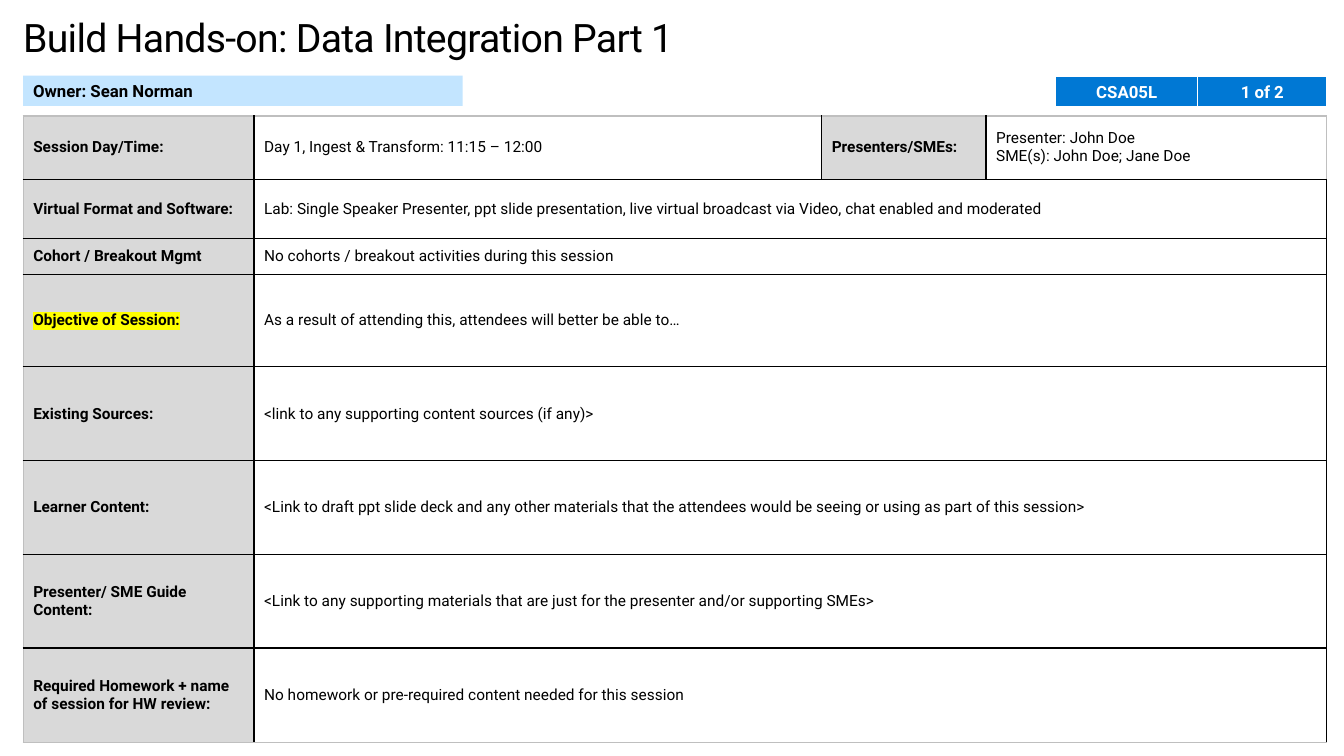
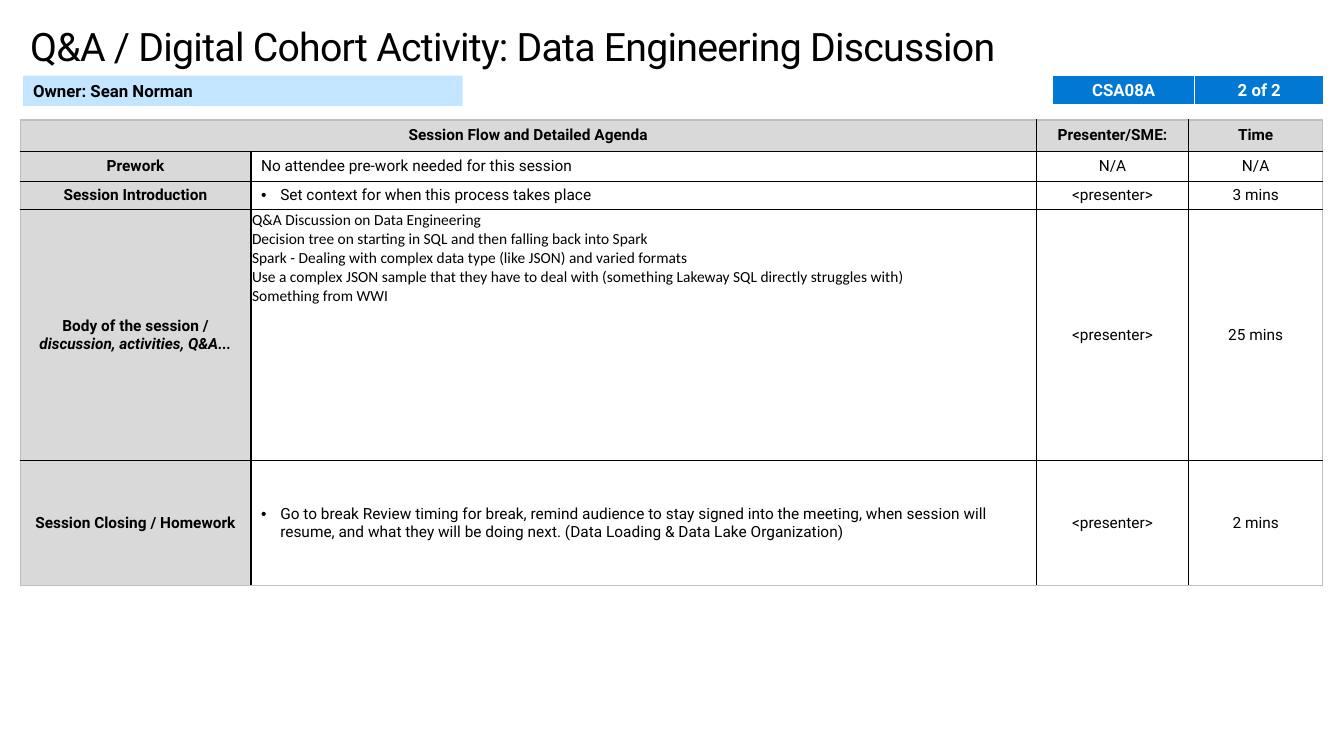
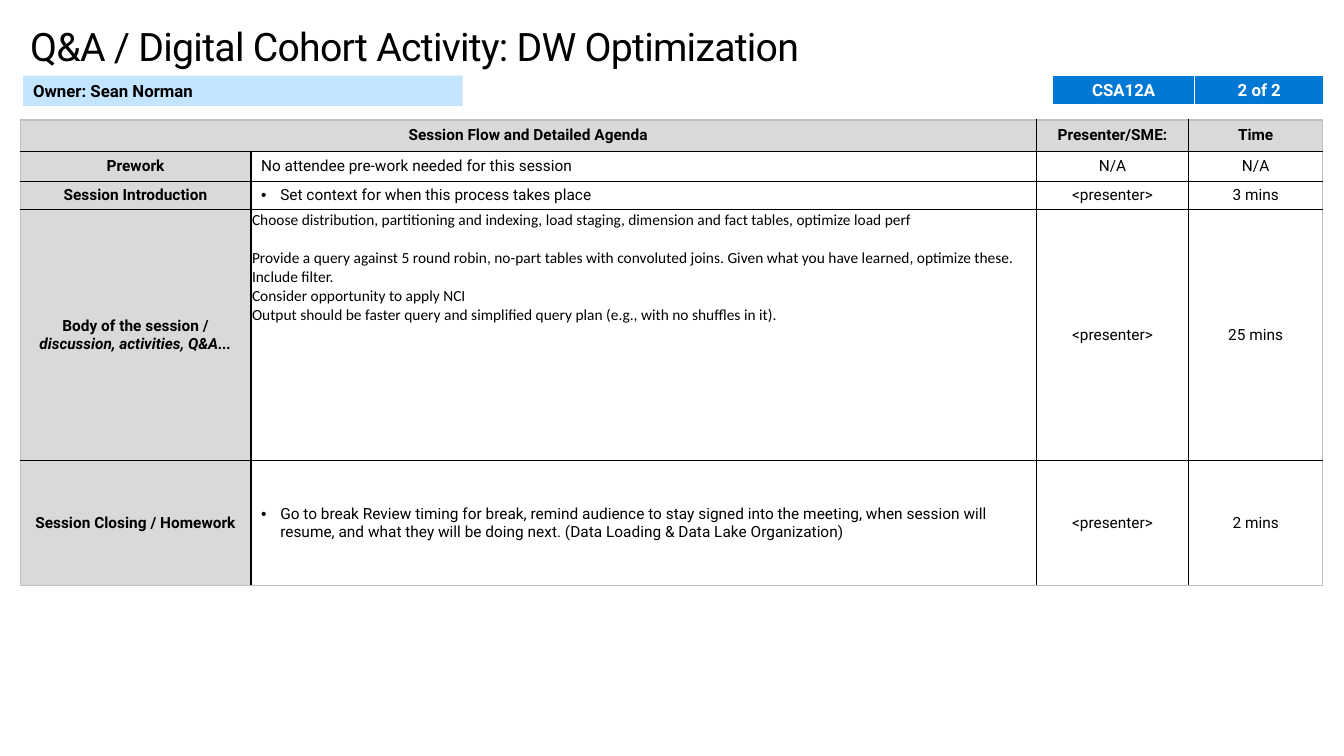
import pptx
import pptx.util
import pptx.dml.color
import pptx.enum.shapes
import pptx.enum.text
import pptx.oxml.ns
from dataclasses import dataclass
from lxml import etree

PX = 9144  # 100 px to the inch
ALIGN = pptx.enum.text.PP_ALIGN
ANCHOR = pptx.enum.text.MSO_ANCHOR


@dataclass(frozen=True)
class Theme:
    face: str = "Roboto"
    plain: str = "Calibri"
    ink: str = "000000"
    white: str = "FFFFFF"
    gray: str = "D9D9D9"
    rim: str = "BFBFBF"
    pale: str = "C3E5FF"
    blue: str = "0078D4"
    mark: str = "FFFF00"
    title: int = 28
    band: int = 12
    body: int = 11
    gap: float = 13.4


def rgb(code):
    return pptx.dml.color.RGBColor.from_string(code)


def add(node, tag, **attrs):
    return etree.SubElement(node, pptx.oxml.ns.qn(tag), attrs)


class Deck:
    def __init__(self):
        self.look = Theme()
        self.prs = pptx.Presentation()
        self.prs.slide_width = 1333 * PX
        self.prs.slide_height = 750 * PX
        self.slide = None

    # Text: every item of lines becomes one paragraph
    def text(self, frame, lines, size, bold=False, align=ALIGN.LEFT,
             color=None, face=None, bullet=False):
        for i, line in enumerate(lines):
            para = frame.paragraphs[0] if i == 0 else frame.add_paragraph()
            para.add_run().text = line
            para.alignment = align
            if bullet:
                props = para._p.get_or_add_pPr()
                props.set("marL", str(19 * PX))
                props.set("indent", str(-19 * PX))
                add(props, "a:buFont", typeface="Arial")
                add(props, "a:buChar", char="•")
            font = para.font
            font.name = face or self.look.face
            font.size = pptx.util.Pt(size)
            font.bold = bold
            font.color.rgb = rgb(color or self.look.ink)

    # New slide with its title
    def page(self, text, x, y):
        self.slide = self.prs.slides.add_slide(self.prs.slide_layouts[5])
        head = self.slide.shapes.title
        head.left, head.top = x * PX, y * PX
        head.width, head.height = 1280 * PX, 47 * PX
        frame = head.text_frame
        frame.auto_size = pptx.enum.text.MSO_AUTO_SIZE.NONE
        frame.vertical_anchor = ANCHOR.TOP
        frame.margin_left = frame.margin_right = 0
        frame.margin_top = frame.margin_bottom = 0
        self.text(frame, [text], self.look.title)
        frame.paragraphs[0].runs[0]._r.get_or_add_rPr().set("spc", "-50")

    # Owner band
    def owner(self, name):
        kind = pptx.enum.shapes.MSO_SHAPE.RECTANGLE
        band = self.slide.shapes.add_shape(
            kind, 23 * PX, 75 * PX, 436 * PX, 30 * PX)
        band.shadow.inherit = False
        band.fill.solid()
        band.fill.fore_color.rgb = rgb(self.look.pale)
        band.line.fill.background()
        band.text_frame.vertical_anchor = ANCHOR.MIDDLE
        self.text(band.text_frame, [f"Owner: {name}"], self.look.band, True)

    # Empty table with its borders
    def grid(self, x, y, cols, rows, rim, line, foot=1):
        table = self.slide.shapes.add_table(
            len(rows), len(cols), x * PX, y * PX,
            sum(cols) * PX, sum(rows) * PX).table
        table.first_row = table.horz_banding = False
        for col, width in zip(table.columns, cols):
            col.width = width * PX
        for row, height in zip(table.rows, rows):
            row.height = height * PX
        for r in range(len(rows)):
            for c in range(len(cols)):
                last = r == len(rows) - 1
                edges = (("a:lnL", c == 0, 1),
                         ("a:lnR", c == len(cols) - 1, 1),
                         ("a:lnT", r == 0, 1),
                         ("a:lnB", last, foot if last else 1))
                props = table.cell(r, c)._tc.get_or_add_tcPr()
                for tag, outer, width in edges:
                    edge = add(props, tag, w=str(int(pptx.util.Pt(width))))
                    fill = add(edge, "a:solidFill")
                    add(fill, "a:srgbClr", val=rim if outer else line)
        return table

    # Cell content and fill
    def cell(self, cell, lines, fill=None, size=None, **style):
        cell.vertical_anchor = ANCHOR.MIDDLE
        if fill:
            cell.fill.solid()
            cell.fill.fore_color.rgb = rgb(fill)
        else:
            cell.fill.background()
        self.text(cell.text_frame, lines, size or self.look.body, **style)

    # Session code and page tags
    def tags(self, x, y, high, *texts):
        look = self.look
        table = self.grid(x, y, (141, 128), (high,), look.white, look.white, 3)
        for c, text in enumerate(texts):
            self.cell(table.cell(0, c), [text], look.blue, look.band,
                      bold=True, align=ALIGN.CENTER, color=look.white)

    # Session facts: label and value in each row
    def facts(self, rows, high, lead, marked):
        look = self.look
        table = self.grid(23, 115, (229, 563, 163, 338), high,
                          look.rim, look.ink)
        for r, (label, value) in enumerate(rows):
            self.cell(table.cell(r, 0), [label], look.gray, bold=True)
            if r:
                table.cell(r, 1).merge(table.cell(r, 3))
            self.cell(table.cell(r, 1), [value])
            if label == marked:
                run = table.cell(r, 0).text_frame.paragraphs[0].runs[0]
                light = add(run._r.get_or_add_rPr(), "a:highlight")
                add(light, "a:srgbClr", val=look.mark)
        self.cell(table.cell(0, 2), [lead[0]], look.gray, bold=True)
        self.cell(table.cell(0, 3), lead[1])

    # Agenda: label, content, presenter and time in each row
    def agenda(self, groups):
        look = self.look
        mid = ALIGN.CENTER
        table = self.grid(20, 119, (229, 779, 151, 133),
                          (31, 30, 28, 249, 124), look.rim, look.ink)
        table.cell(0, 0).merge(table.cell(0, 1))
        for c, text in zip((0, 2, 3), HEADS):
            self.cell(table.cell(0, c), [text], look.gray, bold=True, align=mid)
        for r, (label, text, who, time) in enumerate(STEPS, 1):
            self.cell(table.cell(r, 0), label, look.gray, bold=True, align=mid)
            if text:
                self.cell(table.cell(r, 1), [text], bullet=r > 1)
            self.cell(table.cell(r, 2), [who], align=mid)
            self.cell(table.cell(r, 3), [time], align=mid)
        table.cell(3, 0).text_frame.paragraphs[1].font.italic = True

        # Session body, with a gap between groups of lines
        main = table.cell(3, 1)
        self.cell(main, sum(groups, []), face=look.plain)
        main.vertical_anchor = ANCHOR.TOP
        main.margin_left = main.margin_right = main.margin_top = PX
        main.margin_bottom = 0
        start = 0
        for group in groups[:-1]:
            start += len(group)
            para = main.text_frame.paragraphs[start]
            para.space_before = pptx.util.Pt(look.gap)


OWNER = "Sean Norman"
GOAL = "Objective of Session:"
FACTS = (
    ("Session Day/Time:", "Day 1, Ingest & Transform: 11:15 – 12:00"),
    ("Virtual Format and Software:",
     "Lab: Single Speaker Presenter, ppt slide presentation, live virtual "
     "broadcast via Video, chat enabled and moderated"),
    ("Cohort / Breakout Mgmt",
     "No cohorts / breakout activities during this session"),
    (GOAL, "As a result of attending this, attendees will better be able to…"),
    ("Existing Sources:", "<link to any supporting content sources (if any)>"),
    ("Learner Content:",
     "<Link to draft ppt slide deck and any other materials that the "
     "attendees would be seeing or using as part of this session>"),
    ("Presenter/ SME Guide Content:",
     "<Link to any supporting materials that are just for the presenter "
     "and/or supporting SMEs>"),
    ("Required Homework + name of session for HW review:",
     "No homework or pre-required content needed for this session"),
)
HEADS = ("Session Flow and Detailed Agenda", "Presenter/SME:", "Time")
STEPS = (
    (["Prework"], "No attendee pre-work needed for this session",
     "N/A", "N/A"),
    (["Session Introduction"], "Set context for when this process takes place",
     "<presenter>", "3 mins"),
    (["Body of the session /", "discussion, activities, Q&A..."], None,
     "<presenter>", "25 mins"),
    (["Session Closing / Homework"],
     "Go to break Review timing for break, remind audience to stay signed "
     "into the meeting, when session will resume, and what they will be "
     "doing next. (Data Loading & Data Lake Organization)",
     "<presenter>", "2 mins"),
)
TALKS = (
    ("Data Engineering Discussion", "CSA08A", [[
        "Q&A Discussion on Data Engineering",
        "Decision tree on starting in SQL and then falling back into Spark",
        "Spark - Dealing with complex data type (like JSON) and varied formats",
        "Use a complex JSON sample that they have to deal with (something "
        "Lakeway SQL directly struggles with)",
        "Something from WWI"]]),
    ("DW Optimization", "CSA12A", [
        ["Choose distribution, partitioning and indexing, load staging, "
         "dimension and fact tables, optimize load perf"],
        ["Provide a query against 5 round robin, no-part tables with "
         "convoluted joins. Given what you have learned, optimize these.",
         "Include filter.",
         "Consider opportunity to apply NCI",
         "Output should be faster query and simplified query plan (e.g., "
         "with no shuffles in it)."]]),
)


def main():
    deck = Deck()

    # Session facts
    deck.page("Build Hands-on: Data Integration Part 1", 23, 13)
    deck.facts(FACTS, (63, 59, 35, 92, 93, 93, 93, 94),
               ("Presenters/SMEs:",
                ["Presenter: John Doe", "SME(s): John Doe; Jane Doe"]), GOAL)
    deck.owner(OWNER)
    deck.tags(1047, 76, 31, "CSA05L", "1 of 2")

    # Session agendas
    for topic, code, groups in TALKS:
        deck.page(f"Q&A / Digital Cohort Activity: {topic}", 30, 22)
        deck.agenda(groups)
        deck.owner(OWNER)
        deck.tags(1044, 75, 30, code, "2 of 2")

    deck.prs.save("out.pptx")


if __name__ == "__main__":
    main()
